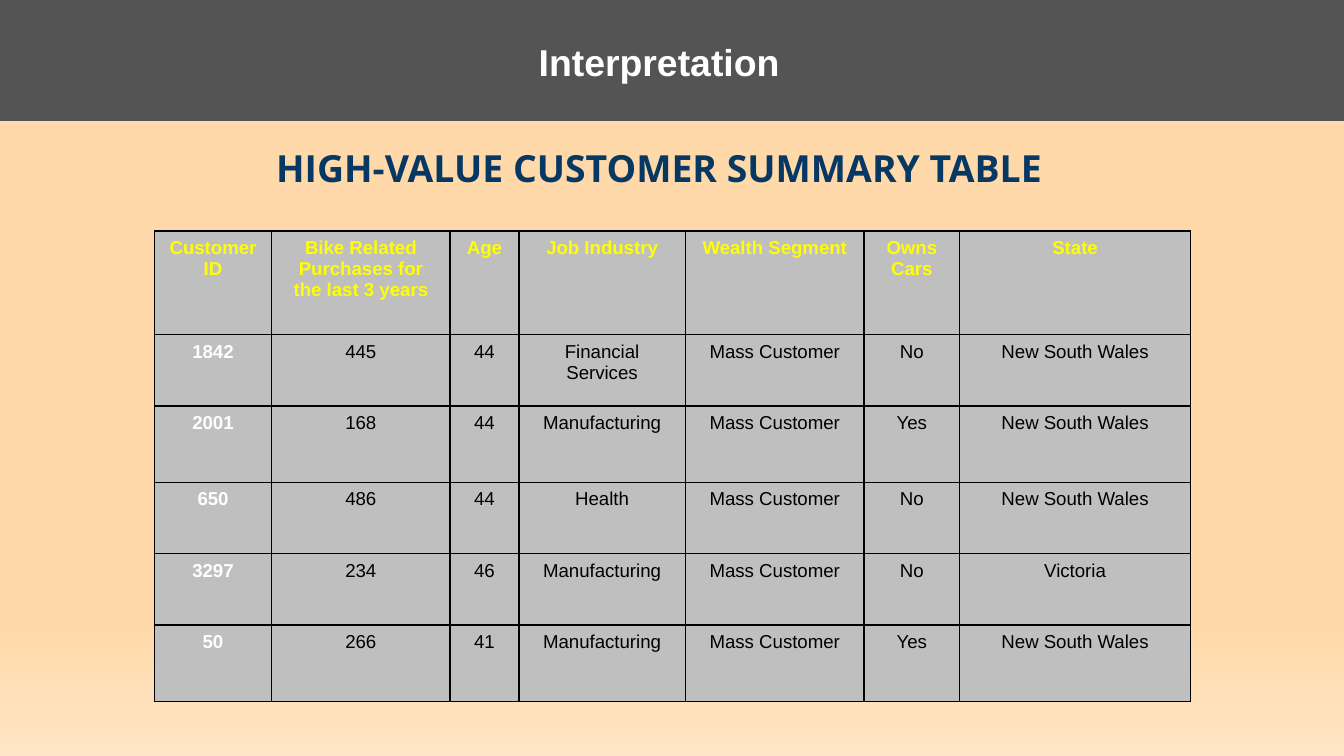
from lxml import etree
from pptx import Presentation
from pptx.dml.color import RGBColor
from pptx.enum.shapes import MSO_SHAPE
from pptx.enum.text import MSO_ANCHOR, MSO_AUTO_SIZE, PP_ALIGN
from pptx.oxml.ns import qn
from pptx.util import Inches, Pt

RECTANGLE = MSO_SHAPE.RECTANGLE
CENTER = PP_ALIGN.CENTER
TOP = MSO_ANCHOR.TOP
NO_AUTOFIT = MSO_AUTO_SIZE.NONE

WHITE = RGBColor(0xFF, 0xFF, 0xFF)
BLACK = RGBColor(0x00, 0x00, 0x00)
YELLOW = RGBColor(0xFF, 0xFF, 0x00)
NAVY = RGBColor(0x07, 0x37, 0x63)
DARK_GRAY = RGBColor(0x54, 0x54, 0x54)
CELL_GRAY = RGBColor(0xBF, 0xBF, 0xBF)
BACKGROUND_STOPS = [
    (0, RGBColor(0xFF, 0xFB, 0xF5)),
    (16, RGBColor(0xFF, 0xD9, 0xA9)),
    (83, RGBColor(0xFF, 0xD9, 0xA9)),
    (100, RGBColor(0xFF, 0xE6, 0xC6)),
]

TITLE = "Interpretation"
HEADING = "HIGH-VALUE CUSTOMER SUMMARY TABLE"
CUSTOMERS = [
    ("Customer ID", "Bike Related Purchases for the last 3 years", "Age",
     "Job Industry", "Wealth Segment", "Owns Cars", "State"),
    ("1842", "445", "44", "Financial Services", "Mass Customer", "No", "New South Wales"),
    ("2001", "168", "44", "Manufacturing", "Mass Customer", "Yes", "New South Wales"),
    ("650", "486", "44", "Health", "Mass Customer", "No", "New South Wales"),
    ("3297", "234", "46", "Manufacturing", "Mass Customer", "No", "Victoria"),
    ("50", "266", "41", "Manufacturing", "Mass Customer", "Yes", "New South Wales"),
]
COLUMN_WIDTHS = [0.87, 1.33, 0.51, 1.24, 1.33, 0.71, 1.72]
ROW_HEIGHTS = [0.77, 0.53, 0.57, 0.53, 0.53, 0.57]


def paint_background(slide):
    """Fill the slide with the vertical gradient."""
    fill = slide.background.fill
    fill.gradient()
    fill.gradient_angle = 270  # counter-clockwise, so top to bottom
    stops = slide.background._cSld.find(".//" + qn("a:gsLst"))
    for stop in list(stops):
        stops.remove(stop)
    for percent, color in BACKGROUND_STOPS:
        stop = etree.SubElement(stops, qn("a:gs"), pos=str(percent * 1000))
        etree.SubElement(stop, qn("a:srgbClr"), val=str(color))


def write(frame, text, size, color, bold=True, font="Arial"):
    """Put one centred run into a text frame and return its paragraph."""
    frame.word_wrap = True
    paragraph = frame.paragraphs[0]
    paragraph.alignment = CENTER
    run = paragraph.add_run()
    run.text = text
    run.font.size = Pt(size)
    run.font.name = font
    run.font.bold = bold
    run.font.color.rgb = color
    return paragraph


def set_frame(shape, top, height):
    """Place a full-width text shape with even insets, text at the top."""
    shape.left, shape.top = Inches(0.22), Inches(top)
    shape.width, shape.height = Inches(9.37), Inches(height)
    frame = shape.text_frame
    frame.auto_size = NO_AUTOFIT
    frame.vertical_anchor = TOP
    frame.margin_left = frame.margin_right = Inches(0.1)
    frame.margin_top = frame.margin_bottom = Inches(0.1)
    return frame


def add_borders(cell):
    """Draw a thin black line on all four sides of a cell."""
    properties = cell._tc.get_or_add_tcPr()
    for index, side in enumerate(("a:lnL", "a:lnR", "a:lnT", "a:lnB")):
        line = etree.Element(qn(side), w=str(Pt(1)))
        solid = etree.SubElement(line, qn("a:solidFill"))
        etree.SubElement(solid, qn("a:srgbClr"), val=str(BLACK))
        properties.insert(index, line)


def add_customer_table(slide):
    """Add the customer table with its header row and ID column."""
    table = slide.shapes.add_table(
        len(CUSTOMERS), len(COLUMN_WIDTHS), Inches(1.15), Inches(1.72),
        Inches(sum(COLUMN_WIDTHS)), Inches(sum(ROW_HEIGHTS))).table
    for column, width in zip(table.columns, COLUMN_WIDTHS):
        column.width = Inches(width)
    for row, height in zip(table.rows, ROW_HEIGHTS):
        row.height = Inches(height)
    for r, customer in enumerate(CUSTOMERS):
        for c, value in enumerate(customer):
            cell = table.cell(r, c)
            cell.fill.solid()
            cell.fill.fore_color.rgb = CELL_GRAY
            cell.margin_left = cell.margin_right = Inches(0.1)
            cell.margin_top = cell.margin_bottom = Inches(0.05)
            color = YELLOW if r == 0 else WHITE if c == 0 else BLACK
            write(cell.text_frame, value, 10, color, bold=r == 0 or c == 0)
            add_borders(cell)


presentation = Presentation()
presentation.slide_width = Inches(10)
presentation.slide_height = Inches(10) * 9 // 16
slide = presentation.slides.add_slide(presentation.slide_layouts[5])
paint_background(slide)

banner = slide.shapes.add_shape(
    RECTANGLE, Inches(-0.02), Inches(-0.02), Inches(10.05), Inches(0.92))
banner.shadow.inherit = False
banner.fill.solid()
banner.fill.fore_color.rgb = DARK_GRAY
banner.line.fill.background()

title = slide.shapes.title
banner._element.addnext(title._element)
write(set_frame(title, 0.19, 0.64), TITLE, 20, WHITE)

heading = slide.shapes.add_textbox(0, 0, 0, 0)
heading_line = write(set_frame(heading, 0.93, 0.56), HEADING, 20, NAVY, font="Open Sans")
heading_line.line_spacing = 1.15

add_customer_table(slide)
presentation.save("out.pptx")
